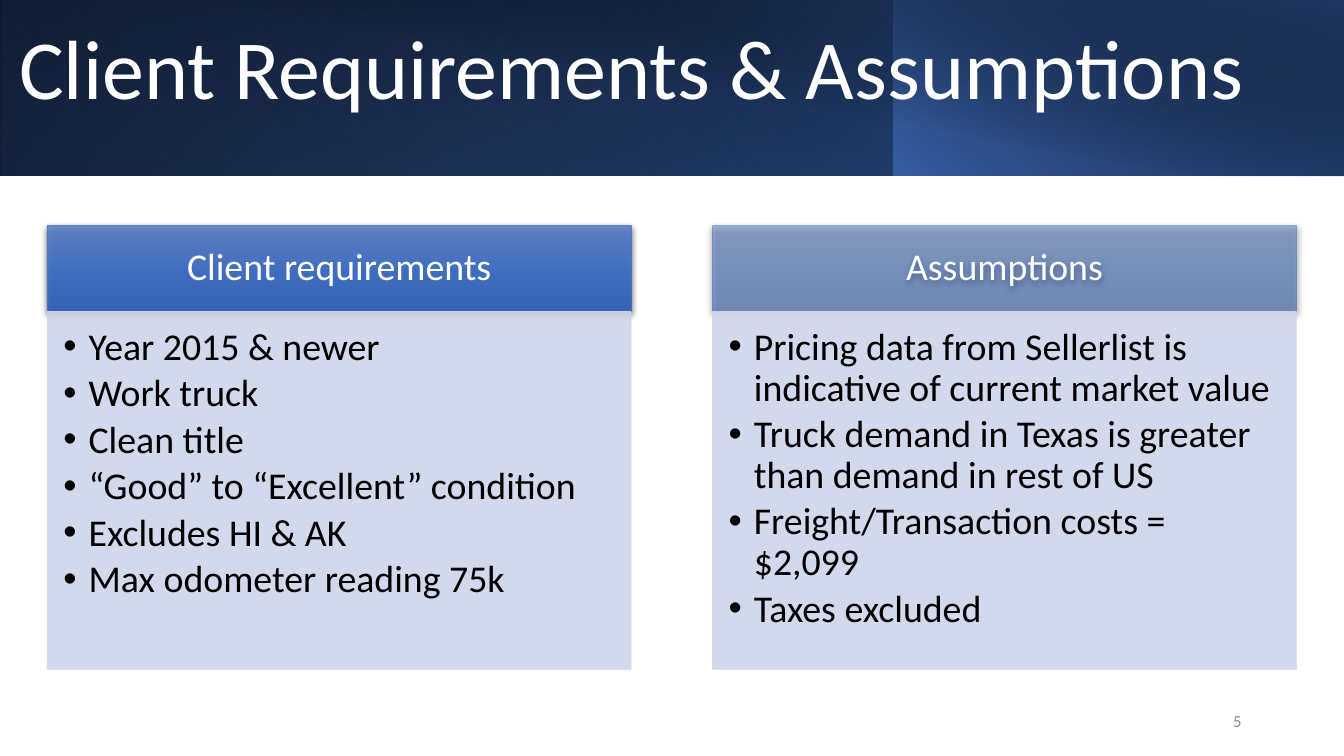
from lxml.etree import SubElement
from pptx import Presentation
from pptx.dml.color import RGBColor
from pptx.enum.shapes import MSO_SHAPE
from pptx.enum.text import MSO_ANCHOR, PP_ALIGN
from pptx.oxml.ns import qn
from pptx.util import Pt

FONT = "Calibri"
PANEL_W = 417
HEADER_TOP, HEADER_H = 161.3, 61.2
BODY_H = 255.6

# left, top, width, height, flipped, rotation, gradient angle, stops (position, colour, opacity)
BANNER = [
    (0, 0, 960, 125.3, True, 0, 140, [(0, "000000", 100), (100, "2F5597", 100)]),
    (0, 0, 639.4, 125.3, True, 180, 230, [(20, "4472C4", 0), (100, "203864", 55)]),
    (638.6, 0, 321.4, 125.3, True, 0, 220, [(0, "4472C4", 66), (100, "000000", 30)]),
    (36, 0, 924, 126, False, 0, 280, [(50, "000000", 0), (99, "203864", 52)]),
]

# left, header, header opacity, points
PANELS = [
    (33.8, "Client requirements", 90, [
        "Year 2015 & newer",
        "Work truck",
        "Clean title",
        "“Good” to “Excellent” condition",
        "Excludes HI & AK",
        "Max odometer reading 75k",
    ]),
    (509, "Assumptions", 50, [
        "Pricing data from Sellerlist is indicative of current market value",
        "Truck demand in Texas is greater than demand in rest of US",
        "Freight/Transaction costs = $2,099",
        "Taxes excluded",
    ]),
]


def rgb(color):
    return RGBColor.from_string(color)


def add_color(parent, color, opacity):
    clr = SubElement(parent, qn("a:srgbClr"), val=color)
    SubElement(clr, qn("a:alpha"), val=str(opacity * 1000))


def fill_solid(fill, parent, color, opacity):
    """Fill with a partly transparent colour; parent is the element that holds the fill."""
    fill.solid()
    solid = parent.find(qn("a:solidFill"))
    solid.clear()
    add_color(solid, color, opacity)


def fill_gradient(sp, angle, stops):
    """Fill with a linear gradient; the angle runs clockwise in degrees."""
    sp.fill.gradient()
    grad = sp._element.spPr.find(qn("a:gradFill"))
    grad.clear()
    grad.set("rotWithShape", "1")
    stop_list = SubElement(grad, qn("a:gsLst"))
    for position, color, opacity in stops:
        stop = SubElement(stop_list, qn("a:gs"), pos=str(position * 1000))
        add_color(stop, color, opacity)
    SubElement(grad, qn("a:lin"), ang=str(angle * 60000), scaled="0")


def set_outline(sp, color, opacity):
    sp.line.width = Pt(0.5)
    fill_solid(sp.line.fill, sp._element.spPr.find(qn("a:ln")), color, opacity)


def add_shadow(sp):
    effects = sp._element.spPr.find(qn("a:effectLst"))
    shadow = SubElement(effects, qn("a:outerShdw"), blurRad=str(Pt(4.5)),
                        dist=str(Pt(1.5)), dir="5400000", algn="ctr", rotWithShape="0")
    add_color(shadow, "000000", 63)


def add_rect(s, left, top, width, height):
    sp = s.shapes.add_shape(MSO_SHAPE.RECTANGLE, Pt(left), Pt(top), Pt(width), Pt(height))
    sp.shadow.inherit = False
    return sp


def set_margins(tf, left, top, right, bottom):
    tf.margin_left, tf.margin_top = Pt(left), Pt(top)
    tf.margin_right, tf.margin_bottom = Pt(right), Pt(bottom)


def write(p, text, size, color, align=PP_ALIGN.LEFT, spacing=0.9):
    p.text = text
    p.alignment = align
    p.line_spacing = spacing
    font = p.runs[0].font
    font.name, font.size = FONT, Pt(size)
    font.color.rgb = rgb(color)


def add_bullet(p):
    pPr = p._p.get_or_add_pPr()
    pPr.set("marL", str(Pt(18)))
    pPr.set("indent", str(Pt(-18)))
    SubElement(pPr, qn("a:buFont"), typeface="Arial")
    SubElement(pPr, qn("a:buChar"), char="•")


def add_label(s, left, top, width, height, text, size, color, **layout):
    tf = s.shapes.add_textbox(Pt(left), Pt(top), Pt(width), Pt(height)).text_frame
    tf.word_wrap = True
    tf.vertical_anchor = MSO_ANCHOR.MIDDLE
    write(tf.paragraphs[0], text, size, color, **layout)


def add_banner(s):
    for left, top, width, height, flipped, rotation, angle, stops in BANNER:
        sp = add_rect(s, left, top, width, height)
        sp.rotation = rotation
        if flipped:
            sp._element.spPr.xfrm.set("flipH", "1")
        fill_gradient(sp, angle, stops)
        sp.line.fill.background()


def add_header(s, left, text, opacity):
    sp = add_rect(s, left, HEADER_TOP, PANEL_W, HEADER_H)
    shades = [(0, "6183CB"), (50, "3E70CA"), (100, "3062BB")]
    fill_gradient(sp, 90, [(position, color, opacity) for position, color in shades])
    set_outline(sp, "4472C4", opacity)
    add_shadow(sp)
    tf = sp.text_frame
    tf.vertical_anchor = MSO_ANCHOR.MIDDLE
    set_margins(tf, 15, 8.6, 15, 8.6)
    write(tf.paragraphs[0], text, 27, "FFFFFF", PP_ALIGN.CENTER)


def add_body(s, left, points):
    sp = add_rect(s, left, HEADER_TOP + HEADER_H, PANEL_W, BODY_H)
    fill_solid(sp.fill, sp._element.spPr, "CFD5EA", 90)
    set_outline(sp, "CFD5EA", 90)
    tf = sp.text_frame
    tf.vertical_anchor = MSO_ANCHOR.TOP
    set_margins(tf, 11.5, 11.5, 15, 17.3)
    for i, point in enumerate(points):
        p = tf.add_paragraph() if i else tf.paragraphs[0]
        add_bullet(p)
        write(p, point, 27, "000000")
        p.space_after = Pt(4)


def main():
    prs = Presentation()
    prs.slide_width, prs.slide_height = Pt(960), Pt(540)
    s = prs.slides.add_slide(prs.slide_layouts[6])
    add_banner(s)
    add_label(s, 6.5, 10.8, 953.5, 81.4, "Client Requirements & Assumptions", 60, "FFFFFF")
    for left, header, opacity, points in PANELS:
        add_header(s, left, header, opacity)
        add_body(s, left, points)
    add_label(s, 678, 500.5, 216, 28.8, "5", 12, "8C8C8C",
              align=PP_ALIGN.RIGHT, spacing=1.0)
    prs.save("out.pptx")


if __name__ == "__main__":
    main()
